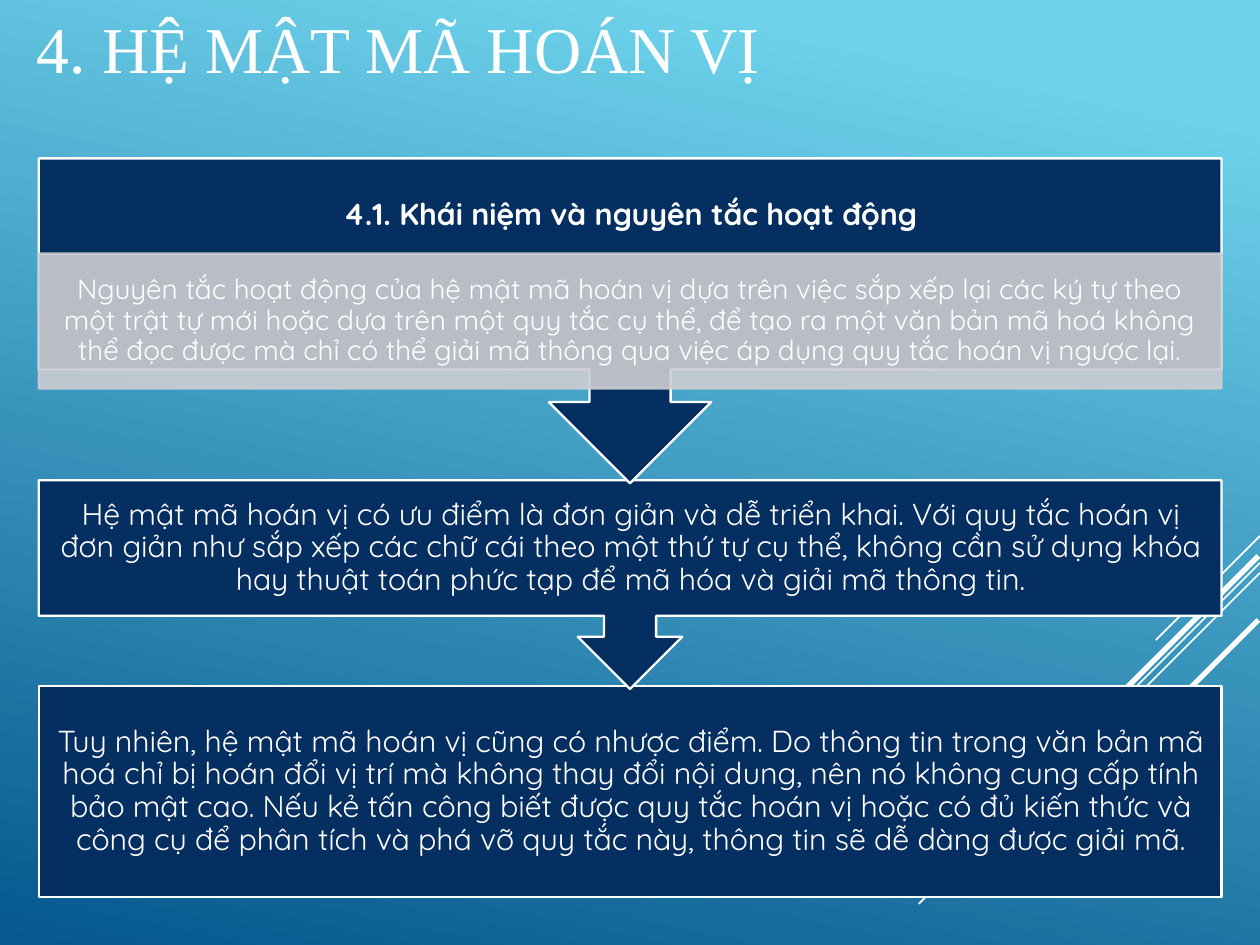
"""Builds a slide on permutation ciphers: three steps joined by arrow callouts."""
import pptx
import pptx.util
import pptx.dml.color
import pptx.enum.shapes
import pptx.enum.text
import pptx.oxml

Pt = pptx.util.Pt
RGBColor = pptx.dml.color.RGBColor
SHAPES = pptx.enum.shapes.MSO_SHAPE
ALIGN = pptx.enum.text.PP_ALIGN
MIDDLE = pptx.enum.text.MSO_ANCHOR.MIDDLE

WHITE = RGBColor(0xFF, 0xFF, 0xFF)
NAVY = RGBColor(0x05, 0x2F, 0x61)
GREY = RGBColor(0xCC, 0xCD, 0xD2)
SKY = RGBColor(0x6E, 0xD2, 0xEB)
OCEAN = RGBColor(0x06, 0x58, 0x8E)
DRAWING = 'xmlns:a="http://schemas.openxmlformats.org/drawingml/2006/main"'


def write(frame, text, insets, align, font_format):
    """Put one formatted paragraph in a text frame."""
    left, top, right, bottom = map(Pt, insets)
    frame_format = {
        "word_wrap": True, "vertical_anchor": MIDDLE, "margin_left": left,
        "margin_top": top, "margin_right": right, "margin_bottom": bottom,
    }
    for key, value in frame_format.items():
        setattr(frame, key, value)
    frame.text = text
    paragraph = frame.paragraphs[0]
    paragraph.alignment = align
    paragraph.line_spacing = 0.9 if align == ALIGN.CENTER else 1.0
    for key, value in font_format.items():
        setattr(paragraph.font, key, value)
    paragraph.font.color.rgb = WHITE


presentation = pptx.Presentation()
presentation.slide_width = Pt(540)
presentation.slide_height = Pt(405)
slide = presentation.slides.add_slide(presentation.slide_layouts[5])

backdrop = slide.background.fill
backdrop.gradient()
backdrop.gradient_angle = 258
for stop, position, color in zip(backdrop.gradient_stops, (0.1, 1), (SKY, OCEAN)):
    stop.position = position
    stop.color.rgb = color

heading = slide.shapes.title
heading_place = {"left": Pt(8.6), "top": Pt(0), "width": Pt(376), "height": Pt(41)}
for key, value in heading_place.items():
    setattr(heading, key, value)
write(heading.text_frame, "4. HỆ MẬT MÃ HOÁN VỊ", (7.2, 3.6, 7.2, 3.6), ALIGN.LEFT,
      {"name": "Times New Roman", "size": Pt(28)})

streaks = [
    (540, 229.7, 44.6, 0.75),
    (540, 241.2, 146.2, 0.75),
    (540, 245.5, 92.9, 0.75),
    (539.3, 238.3, 85, 2.25),
    (539.3, 265.7, 61.9, 2.25),
]
for right, top, run, weight in streaks:
    streak = slide.shapes.add_connector(
        pptx.enum.shapes.MSO_CONNECTOR.STRAIGHT,
        Pt(right), Pt(top), Pt(right - run), Pt(top + run))
    streak.line.color.rgb = WHITE
    streak.line.width = Pt(weight)
    streak._element.spPr.append(pptx.oxml.parse_xml(f"<a:effectLst {DRAWING}/>"))

roomy = (7.2, 7.2, 7.2, 7.2)
steps = [
    (SHAPES.RECTANGLE, 293.9, 90.5, NAVY, WHITE, roomy, 13, False,
     "Tuy nhiên, hệ mật mã hoán vị cũng có nhược điểm. Do thông tin trong văn bản mã "
     "hoá chỉ bị hoán đổi vị trí mà không thay đổi nội dung, nên nó không cung cấp tính "
     "bảo mật cao. Nếu kẻ tấn công biết được quy tắc hoán vị hoặc có đủ kiến thức và "
     "công cụ để phân tích và phá vỡ quy tắc này, thông tin sẽ dễ dàng được giải mã."),
    (SHAPES.DOWN_ARROW_CALLOUT, 205.8, 89.5, NAVY, WHITE, roomy, 13, False,
     "Hệ mật mã hoán vị có ưu điểm là đơn giản và dễ triển khai. Với quy tắc hoán vị "
     "đơn giản như sắp xếp các chữ cái theo một thứ tự cụ thể, không cần sử dụng khóa "
     "hay thuật toán phức tạp để mã hóa và giải mã thông tin."),
    (SHAPES.DOWN_ARROW_CALLOUT, 67.9, 139.2, NAVY, WHITE, (7.2, 7.2, 7.2, 49), 13, True,
     "4.1. Khái niệm và nguyên tắc hoạt động"),
    (SHAPES.RECTANGLE, 108.7, 57.8, GREY, GREY, (6.5, 1.4, 6.5, 1.4), 12, False,
     "Nguyên tắc hoạt động của hệ mật mã hoán vị dựa trên việc sắp xếp lại các ký tự theo "
     "một trật tự mới hoặc dựa trên một quy tắc cụ thể, để tạo ra một văn bản mã hoá không "
     "thể đọc được mà chỉ có thể giải mã thông qua việc áp dụng quy tắc hoán vị ngược lại."),
]
for outline, top, height, fill, border, insets, size, bold, text in steps:
    step = slide.shapes.add_shape(outline, Pt(16.6), Pt(top), Pt(506.9), Pt(height))
    step.shadow.inherit = False
    step.fill.solid()
    step.fill.fore_color.rgb = fill
    step.line.color.rgb = border
    step.line.width = Pt(1)
    write(step.text_frame, text, insets, ALIGN.CENTER,
          {"name": "Quicksand", "size": Pt(size), "bold": bold})
    if fill == GREY:
        for tint in step._element.spPr.xpath(".//a:srgbClr"):
            tint.append(pptx.oxml.parse_xml(f'<a:alpha {DRAWING} val="90000"/>'))

presentation.save("out.pptx")
